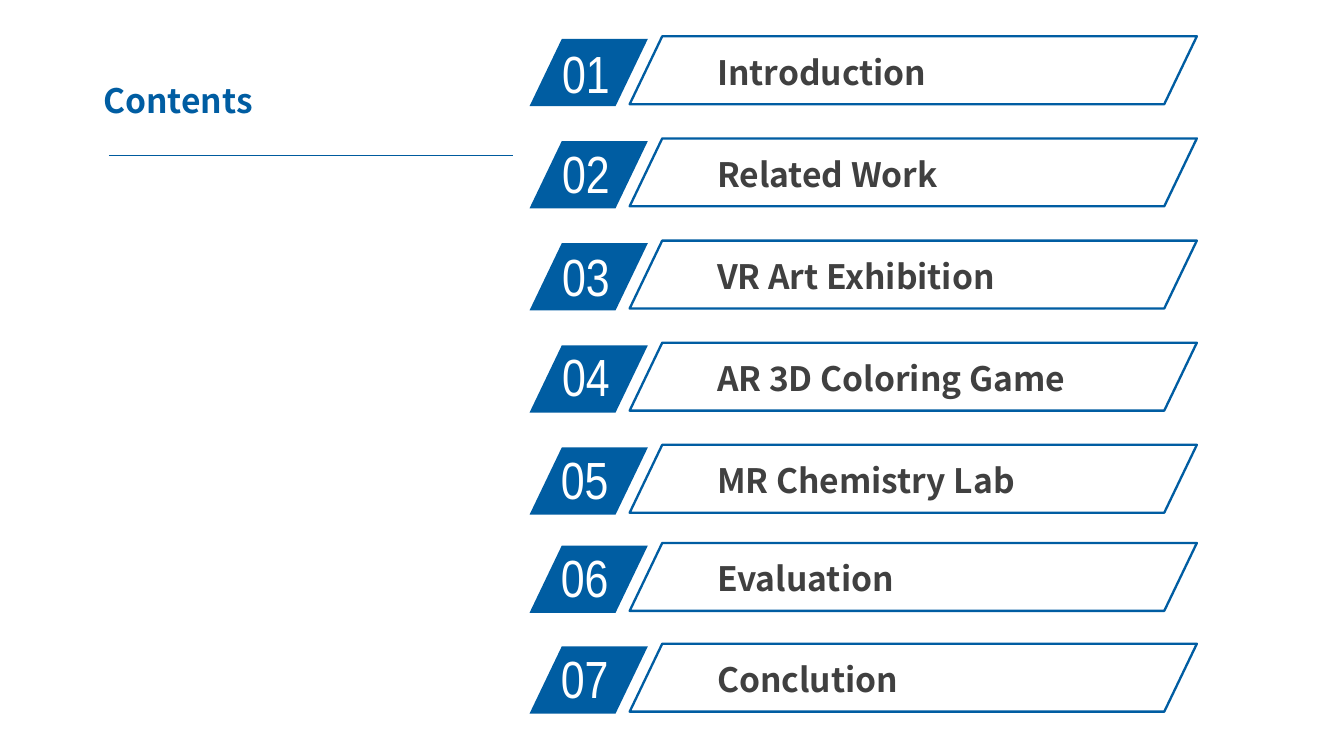
from pptx import Presentation
from pptx.dml.color import RGBColor
from pptx.enum.shapes import MSO_CONNECTOR, MSO_SHAPE
from pptx.enum.text import MSO_ANCHOR, MSO_AUTO_SIZE
from pptx.oxml.ns import qn
from pptx.util import Emu, Pt

PX = 4572
SLANT = MSO_SHAPE.PARALLELOGRAM
STRAIGHT = MSO_CONNECTOR.STRAIGHT
TOP, MIDDLE = MSO_ANCHOR.TOP, MSO_ANCHOR.MIDDLE
GROW, FIXED = MSO_AUTO_SIZE.SHAPE_TO_FIT_TEXT, MSO_AUTO_SIZE.NONE
COLORS = {"blue": "005DA2", "rule": "005B9E", "white": "FFFFFF", "gray": "404040"}
SANS, NARROW = "Noto Sans CJK SC", "Arial Narrow"

ROWS = [
    ("Introduction", 54, 817, 52),
    ("Related Work", 206, 817, 200),
    ("VR Art Exhibition", 358, 817, 354),
    ("AR 3D Coloring Game", 510, 817, 503),
    ("MR Chemistry Lab", 662, 815, 656),
    ("Evaluation", 808, 815, 802),
    ("Conclution", 958, 815, 952),
]


def px(*sizes):
    return [Emu(size * PX) for size in sizes]


def rgb(name):
    return RGBColor.from_string(COLORS[name])


class Deck:
    def __init__(self, wide, high):
        self.file = Presentation()
        self.file.slide_width, self.file.slide_height = px(wide, high)
        self.slide = self.file.slides.add_slide(self.file.slide_layouts[6])
        self.shapes = self.slide.shapes

    def group(self):
        self.shapes = self.slide.shapes.add_group_shape().shapes

    def text(self, box, words, size, font, color, bold=False,
             inset=(20, 10), anchor=TOP, fit=GROW):
        frame = self.shapes.add_textbox(*px(*box)).text_frame
        frame.word_wrap = True
        frame.auto_size = fit
        frame.vertical_anchor = anchor
        side, edge = px(*inset)
        frame.margin_left = frame.margin_right = side
        frame.margin_top = frame.margin_bottom = edge
        run = frame.paragraphs[0].add_run()
        run.text = words
        run.font.size = Pt(size)
        run.font.name = font
        run.font.bold = bold
        run.font.color.rgb = rgb(color)
        props = run.font._element
        east = props.makeelement(qn("a:ea"), {"typeface": font})
        props.find(qn("a:latin")).addnext(east)

    def slant(self, box, fill=None, line=None):
        shape = self.shapes.add_shape(SLANT, *px(*box))
        shape.shadow.inherit = False
        shape.adjustments[0] = 0.48
        if fill:
            shape.fill.solid()
            shape.fill.fore_color.rgb = rgb(fill)
        else:
            shape.fill.background()
        if line:
            shape.line.color.rgb = rgb(line)
            shape.line.width = Pt(1.25)
        else:
            shape.line.fill.background()

    def rule(self, ends, color, width):
        line = self.shapes.add_connector(STRAIGHT, *px(*ends))
        line.line.color.rgb = rgb(color)
        line.line.width = Pt(width)
        props = line._element.spPr
        props.append(props.makeelement(qn("a:effectLst"), {}))

    def save(self):
        self.file.save("out.pptx")


def main():
    deck = Deck(2000, 1125)
    deck.text((134, 95, 494, 108), "Contents", 18, SANS, "blue", True,
              anchor=MIDDLE, fit=FIXED)
    deck.rule((162, 231, 764, 231), "rule", 0.75)
    for count, (label, top, left, high) in enumerate(ROWS, 1):
        deck.group()
        deck.slant((788, top + 4, 176, 100), fill="blue")
        deck.text((left, high, 168, 98 if count < 6 else 114),
                  f"{count:02}", 28, NARROW, "white")
        deck.group()
        deck.text((1053, top + 15, 618, 76), label, 18, SANS, "gray", True, (14, 8))
        deck.slant((937, top, 844, 101), line="blue")
    deck.save()


if __name__ == "__main__":
    main()
